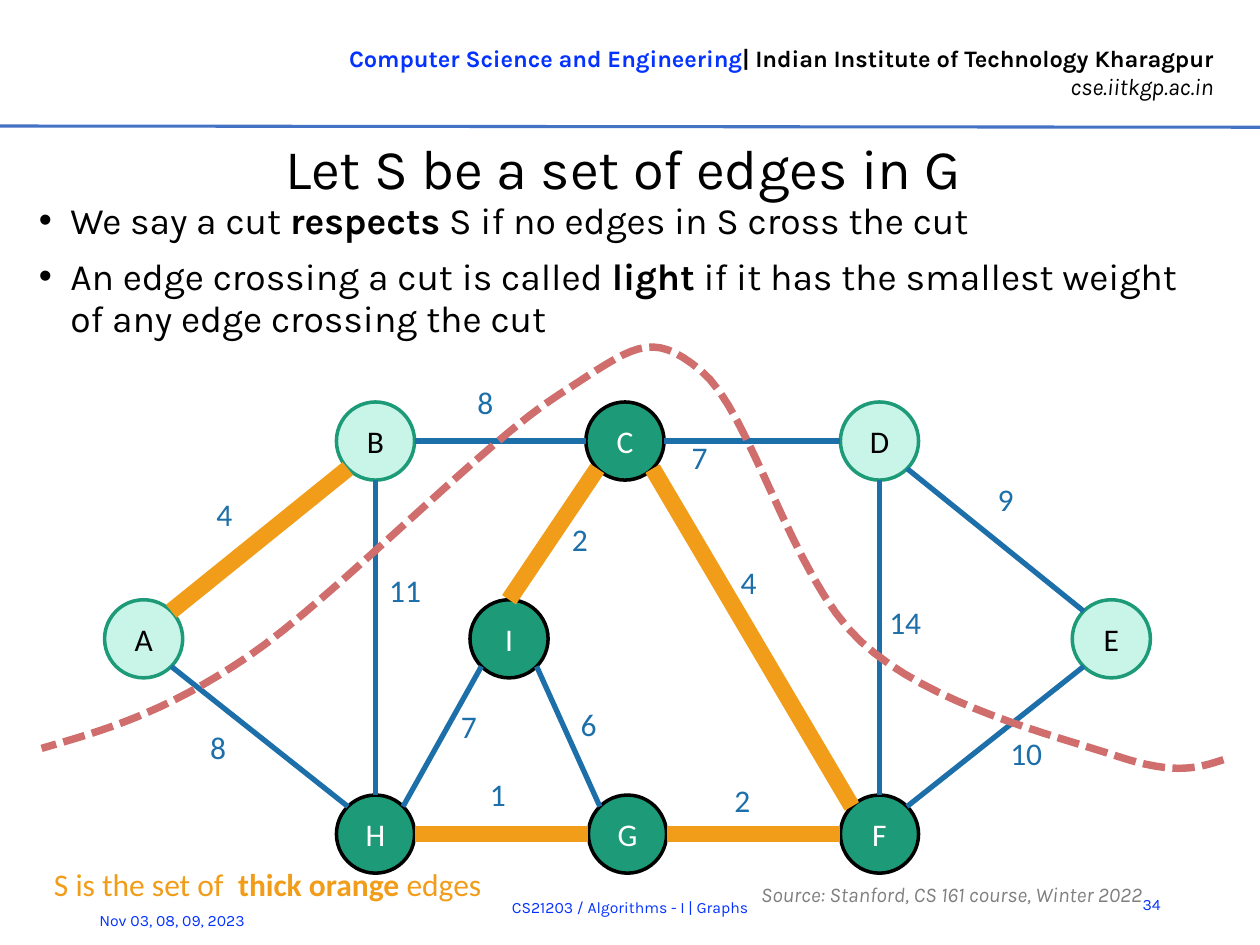
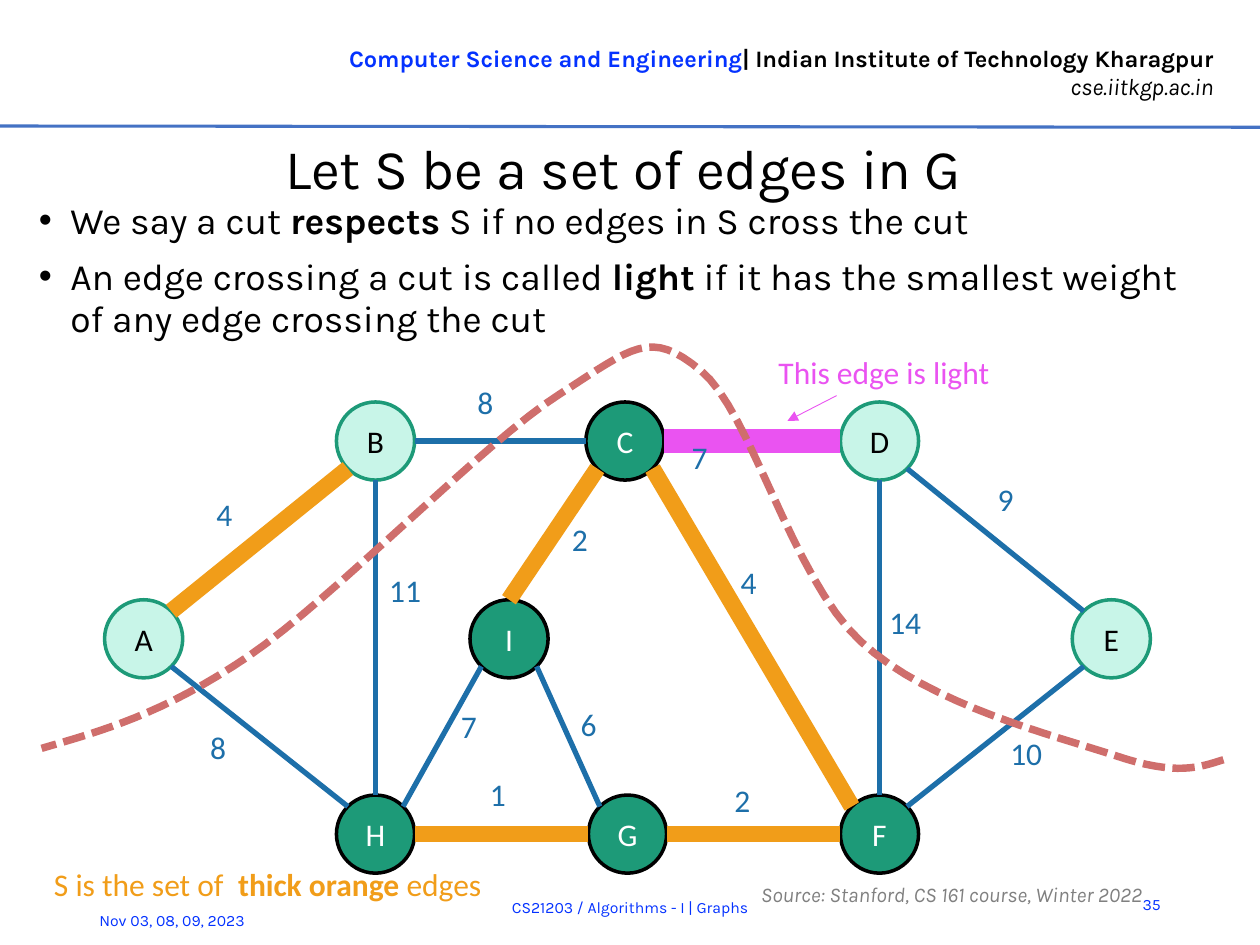
import math
import pptx
import pptx.util
import pptx.dml.color
import pptx.enum.dml
import pptx.enum.shapes
import pptx.enum.text
from pptx.oxml.ns import qn
from lxml import etree

Inches, Pt = pptx.util.Inches, pptx.util.Pt
ALIGN = pptx.enum.text.PP_ALIGN
MIDDLE = pptx.enum.text.MSO_ANCHOR.MIDDLE

# Colours and text styles
BLACK, WHITE, BLUE, RULE = "000000", "FFFFFF", "0432FF", "4472C4"
MINT, GREEN, EDGE = "C8F5E8", "1D9A78", "1D6FA9"
ORANGE, PINK, ROSE, GREY = "F19D19", "EA53F1", "CF6E6C", "808080"

HEAD = {"name": "Karla", "size": Pt(13.5), "bold": True}
TITLE = {"name": "Karla", "size": Pt(32)}
BODY = {"name": "Karla", "size": Pt(21.3)}
FOOT = {"name": "Karla", "size": Pt(9)}
CREDIT = {"name": "Karla", "size": Pt(12), "italic": True}
GRAPH = {"name": "Calibri", "size": Pt(18)}
BOLD = {"bold": True}

# Graph: node -> centre; the cut keeps the dark nodes on one side
RADIUS = 0.31
TOP, MID, LOW = 3.5, 5.07, 6.62
NODES = {"D": (6.98, TOP), "C": (4.96, TOP), "B": (2.98, TOP),
         "A": (1.14, MID), "H": (2.98, LOW), "G": (4.98, LOW),
         "F": (6.98, LOW), "I": (4.04, MID), "E": (8.82, MID)}
DARK = "CHGFI"
SITES = {"e": 0, "se": 45, "s": 90, "sw": 135,
         "w": 180, "nw": 225, "n": 270, "ne": 315}
# start, site, end, site, weight, label left, label top
EDGES = [
    ("C", "se", "F", "nw", 4, 5.78, 4.42),
    ("C", "e", "D", "w", 7, 5.39, 3.43),
    ("E", "nw", "D", "se", 9, 7.82, 3.76),
    ("E", "sw", "F", "ne", 10, 7.92, 5.78),
    ("D", "s", "F", "n", 14, 6.96, 4.74),
    ("I", "se", "G", "nw", 6, 4.51, 5.55),
    ("G", "e", "F", "w", 2, 5.73, 6.15),
    ("I", "n", "C", "sw", 2, 4.44, 4.08),
    ("B", "e", "C", "w", 8, 3.69, 2.99),
    ("A", "ne", "B", "sw", 4, 1.62, 3.88),
    ("A", "se", "H", "nw", 8, 1.57, 5.73),
    ("G", "w", "H", "e", 1, 3.79, 6.1),
    ("I", "sw", "H", "ne", 7, 3.56, 5.56),
    ("H", "n", "B", "s", 11, 2.99, 4.48),
]
THICK = {"CF", "GF", "IC", "AB", "GH"}
# Start of the cut, then two handles and an end for each curve
CUT = [(9.71, 6.03),
       (9.52, 6.09), (9.34, 6.16), (8.86, 6),
       (8.38, 5.84), (7.38, 5.6), (6.83, 5.09),
       (6.28, 4.58), (5.96, 3.26), (5.56, 2.94),
       (5.16, 2.61), (5.03, 2.75), (4.44, 3.13),
       (3.84, 3.51), (2.66, 4.74), (1.97, 5.21),
       (1.29, 5.67), (0.81, 5.8), (0.33, 5.94)]


def rgb(code):
    return pptx.dml.color.RGBColor.from_string(code)


def apply(item, form):
    for key, value in form.items():
        setattr(item, key, value)


def write(par, runs, style, color, form=None):
    """Fill a paragraph; a run is text, changes and maybe a colour."""
    apply(par, form or {})
    for text, change, *tint in runs:
        run = par.add_run()
        run.text = text
        apply(run.font, {**style, **change})
        run.font.color.rgb = rgb(tint[0] if tint else color)


def add_text(slide, box, pars, style, color, form=None, frame=None):
    shape = slide.shapes.add_textbox(*map(Inches, box))
    area = shape.text_frame
    apply(area, {"word_wrap": True, **(frame or {})})
    for num, runs in enumerate(pars):
        par = area.add_paragraph() if num else area.paragraphs[0]
        write(par, runs, style, color, form)
    return area


def add_line(slide, start, end, color, width, arrow=False):
    line = slide.shapes.add_connector(
        pptx.enum.shapes.MSO_CONNECTOR.STRAIGHT,
        *map(Inches, (*start, *end)))
    line.line.color.rgb = rgb(color)
    line.line.width = Pt(width)
    if arrow:
        etree.SubElement(line.line._get_or_add_ln(), qn("a:tailEnd"),
                         type="triangle")
    etree.SubElement(line._element.spPr, qn("a:effectLst"))


def add_node(slide, name):
    x, y = NODES[name]
    fill, edge, ink = ((GREEN, BLACK, WHITE) if name in DARK
                       else (MINT, GREEN, BLACK))
    node = slide.shapes.add_shape(
        pptx.enum.shapes.MSO_SHAPE.OVAL,
        *map(Inches, (x - RADIUS, y - RADIUS, 2 * RADIUS, 2 * RADIUS)))
    node.shadow.inherit = False
    node.fill.solid()
    node.fill.fore_color.rgb = rgb(fill)
    node.line.color.rgb = rgb(edge)
    node.line.width = Pt(2)
    node.text_frame.vertical_anchor = MIDDLE
    write(node.text_frame.paragraphs[0], [(name, {})], GRAPH, ink,
          {"alignment": ALIGN.CENTER})


def find_site(name, site):
    x, y = NODES[name]
    turn = math.radians(SITES[site])
    return x + RADIUS * math.cos(turn), y + RADIUS * math.sin(turn)


def add_cut(slide, steps=16):
    points = [CUT[0]]
    for first in range(0, len(CUT) - 1, 3):
        a, b, c, d = CUT[first:first + 4]
        for step in range(1, steps + 1):
            t = step / steps
            u = 1 - t
            points.append(tuple(
                u**3 * p + 3 * u * u * t * q + 3 * u * t * t * r + t**3 * s
                for p, q, r, s in zip(a, b, c, d)))
    start, *rest = [(Inches(x), Inches(y)) for x, y in points]
    path = slide.shapes.build_freeform(*start)
    path.add_line_segments(rest, close=False)
    cut = path.convert_to_shape()
    cut.shadow.inherit = False
    cut.fill.background()
    cut.line.color.rgb = rgb(ROSE)
    cut.line.width = Pt(4.25)
    cut.line.dash_style = pptx.enum.dml.MSO_LINE.SQUARE_DOT


def add_graph(slide, light):
    for name in NODES:
        add_node(slide, name)
    for start, out, end, into, *_ in EDGES:
        pair = start + end
        color, width = ((PINK, 14) if pair == light else
                        (ORANGE, 9.5) if pair in THICK else (EDGE, 3))
        add_line(slide, find_site(start, out), find_site(end, into),
                 color, width)
    for *_, weight, x, y in EDGES:
        add_text(slide, (x, y, 0.86, 0.5), [[(str(weight), {})]],
                 GRAPH, EDGE)
    add_cut(slide)


def add_frame(slide, page):
    # Header
    add_text(slide, (2.65, 0.3, 7.08, 0.56),
             [[("Computer Science and Engineering", {}, BLUE),
               ("| Indian Institute of Technology Kharagpur", {})],
              [("cse.iitkgp.ac.in", {"bold": False, "italic": True})]],
             HEAD, BLACK, {"alignment": ALIGN.RIGHT}, {"word_wrap": False})
    add_line(slide, (0, 1), (10, 1.01), RULE, 1.75)
    # Footer
    for box, text, side in [
            ((8.82, 6.98, 0.49, 0.4), str(page), ALIGN.RIGHT),
            ((0.69, 7.1, 1.75, 0.4), "Nov 03, 08, 09, 2023", ALIGN.LEFT),
            ((1.65, 7, 6.7, 0.4), "CS21203 / Algorithms - I | Graphs",
             ALIGN.CENTER)]:
        add_text(slide, box, [[(text, {})]], FOOT, BLUE,
                 {"alignment": side}, {"vertical_anchor": MIDDLE})
    add_text(slide, (5.94, 6.93, 4.02, 0.23),
             [[("Source: Stanford, CS 161 course, Winter 2022", {})]],
             CREDIT, GREY, {"line_spacing": Pt(21.3)},
             {"vertical_anchor": MIDDLE})


def add_body(slide):
    add_text(slide, (0.32, 1.05, 9.26, 0.55),
             [[("Let S be a set of edges in G", {})]], TITLE, BLACK,
             {"alignment": ALIGN.CENTER, "space_before": Pt(0.7)},
             {"vertical_anchor": MIDDLE, "margin_left": 0,
              "margin_right": 0, "margin_top": Inches(0.01),
              "margin_bottom": 0})
    area = add_text(
        slide, (0.21, 1.54, 9.37, 1.22),
        [[("We say a cut ", {}), ("respects", BOLD),
          (" S if no edges in S cross the cut", {})],
         [("An edge crossing a cut is called ", {}), ("light", BOLD),
          (" if it has the smallest weight of any edge crossing the cut",
           {})]],
        BODY, BLACK, {"line_spacing": Pt(24), "space_before": Pt(4),
                      "space_after": Pt(4)})
    for par in area.paragraphs:
        props = par._p.get_or_add_pPr()
        props.set("marL", str(Inches(0.25)))
        props.set("indent", str(-Inches(0.25)))
        etree.SubElement(props, qn("a:buFont"), typeface="Arial")
        etree.SubElement(props, qn("a:buChar"), char="•")
    add_text(slide, (0.33, 6.82, 4.42, 0.5),
             [[("S is the set of  ", {}), ("thick orange ", BOLD),
               ("edges", {})]], GRAPH, ORANGE)


def main():
    deck = pptx.Presentation()
    deck.slide_width, deck.slide_height = Inches(10), Inches(7.5)
    for page, light in [(34, None), (35, "CD")]:
        slide = deck.slides.add_slide(deck.slide_layouts[6])
        add_frame(slide, page)
        add_body(slide)
        add_graph(slide, light)
        # Callout for the light edge
        if light:
            add_text(slide, (6.08, 2.75, 2.18, 0.4),
                     [[("This edge is light", {})]], GRAPH, PINK)
            add_line(slide, (6.64, 3.14), (6.25, 3.34), PINK, 0.5, True)
    deck.save("out.pptx")


if __name__ == "__main__":
    main()
